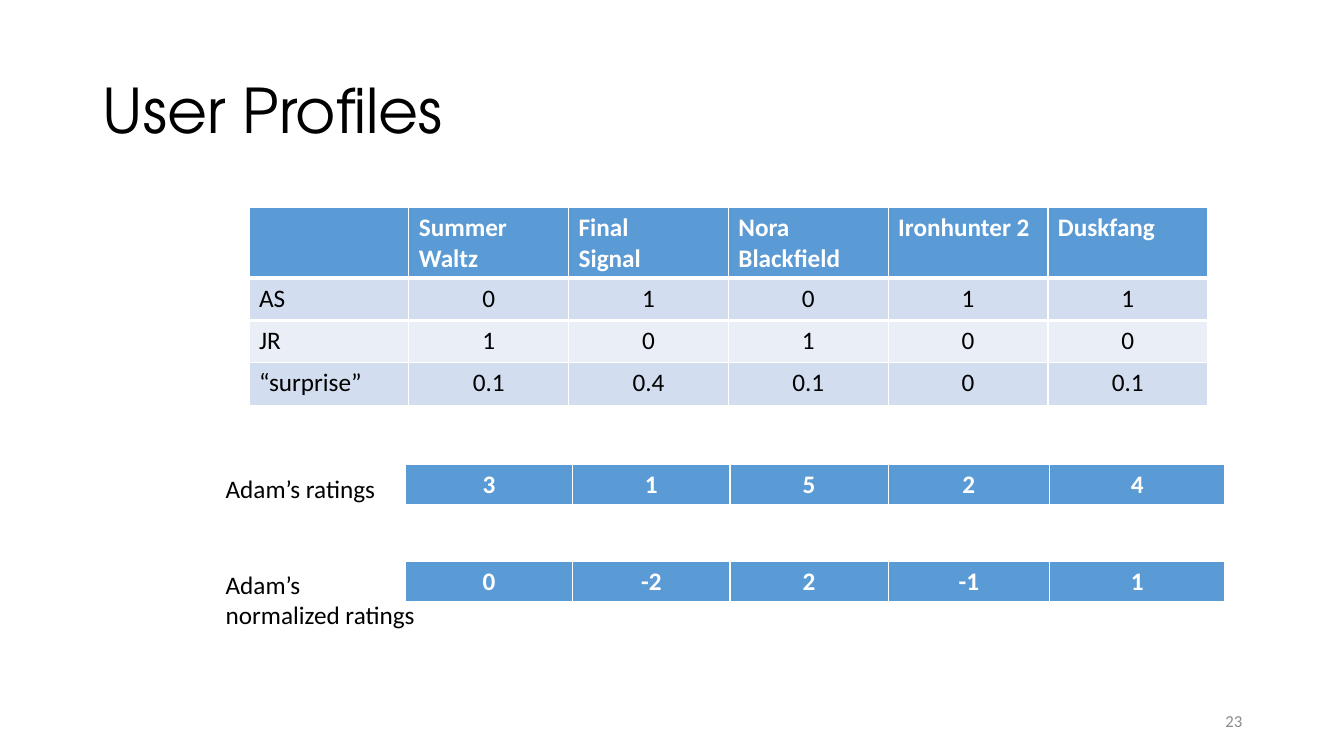
from lxml.etree import SubElement
from pptx import Presentation
from pptx.dml.color import RGBColor
from pptx.enum.text import MSO_ANCHOR, PP_ALIGN
from pptx.oxml.ns import qn
from pptx.util import Inches, Pt

COLORS = {
    "text": "000000",
    "muted": "8C8C8C",
    "white": "FFFFFF",
    "header": "5B9BD5",
    "band_dark": "D2DEEF",
    "band_light": "EAEFF7",
}

PROFILES = [
    ["", "Summer Waltz", "Final\nSignal", "Nora Blackfield", "Ironhunter 2", "Duskfang"],
    ["AS", "0", "1", "0", "1", "1"],
    ["JR", "1", "0", "1", "0", "0"],
    ["“surprise”", "0.1", "0.4", "0.1", "0", "0.1"],
]
RATING_WIDTHS = [1.66, 1.56, 1.57, 1.6, 1.74]


class SlideBuilder:
    """Holds the body style and the current slide."""

    def __init__(self, slide, font="Calibri", size=18):
        self.slide, self.font, self.size = slide, font, size

    def style(self, p, color="text", size=None, font=None, bold=False, align=PP_ALIGN.LEFT):
        p.alignment = align
        p.font.name = font or self.font
        p.font.size = Pt(size or self.size)
        p.font.bold = bold
        p.font.color.rgb = RGBColor.from_string(COLORS[color])

    def title(self, text, left, top, width, height):
        sp = self.slide.shapes.title
        sp.left, sp.top = Inches(left), Inches(top)
        sp.width, sp.height = Inches(width), Inches(height)
        tf = sp.text_frame
        tf.text = text
        tf.vertical_anchor = MSO_ANCHOR.MIDDLE
        p = tf.paragraphs[0]
        p.line_spacing = 0.9
        self.style(p, size=44, font="TeX Gyre Adventor")

    def text(self, text, left, top, width, height, wrap=False, anchor=MSO_ANCHOR.TOP, **style):
        sp = self.slide.shapes.add_textbox(
            Inches(left), Inches(top), Inches(width), Inches(height))
        tf = sp.text_frame
        tf.text = text
        tf.word_wrap = wrap
        tf.vertical_anchor = anchor
        for p in tf.paragraphs:
            self.style(p, **style)

    def border(self, cell, side, points):
        # Border lines must come before the fill in the cell properties
        tc_pr = cell._tc.get_or_add_tcPr()
        ln = SubElement(tc_pr, qn(f"a:ln{side}"), w=str(Pt(points)))
        fill = SubElement(ln, qn("a:solidFill"))
        SubElement(fill, qn("a:srgbClr"), val=COLORS["white"])
        tc_pr.insert(0, ln)

    def table(self, rows, left, top, widths, heights, centered_header=False):
        # The default table style supplies the thin white borders
        table = self.slide.shapes.add_table(
            len(rows), len(widths), Inches(left), Inches(top),
            Inches(sum(widths)), Inches(sum(heights))).table
        for column, width in zip(table.columns, widths):
            column.width = Inches(width)
        for i, (row, height) in enumerate(zip(rows, heights)):
            table.rows[i].height = Inches(height)
            header = i == 0
            fill = "header" if header else "band_dark" if i % 2 else "band_light"
            for j, value in enumerate(row):
                cell = table.cell(i, j)
                cell.text = value
                cell.fill.solid()
                cell.fill.fore_color.rgb = RGBColor.from_string(COLORS[fill])
                # Thick rule between the header and the first body row
                if header:
                    self.border(cell, "B", 3)
                elif i == 1:
                    self.border(cell, "T", 3)
                centered = centered_header if header else j > 0
                for p in cell.text_frame.paragraphs:
                    self.style(p, color="white" if header else "text", bold=header,
                               align=PP_ALIGN.CENTER if centered else PP_ALIGN.LEFT)


def main():
    prs = Presentation()
    prs.slide_width, prs.slide_height = Inches(13.33), Inches(7.5)
    s = SlideBuilder(prs.slides.add_slide(prs.slide_layouts[5]))

    # Title and page number
    s.title("User Profiles", 0.92, 0.4, 11.5, 1.45)
    s.text("23", 9.42, 6.95, 3, 0.4, wrap=True, anchor=MSO_ANCHOR.MIDDLE,
           color="muted", size=12, align=PP_ALIGN.RIGHT)

    # Film profiles
    s.table(PROFILES, 2.47, 2.06, [1.585] * 6, [0.64] + [0.42] * 3)

    # Raw and normalized ratings, each with its label
    for label, ratings, top, label_top, width, height in [
        ("Adam’s ratings", ["3", "1", "5", "2", "4"], 4.61, 4.65, 1.7, 0.4),
        ("Adam’s\nnormalized ratings", ["0", "-2", "2", "-1", "1"], 5.57, 5.6, 2.1, 0.71),
    ]:
        s.table([ratings], 4.02, top, RATING_WIDTHS, [0.41], centered_header=True)
        s.text(label, 2.14, label_top, width, height)

    prs.save("out.pptx")


if __name__ == "__main__":
    main()
